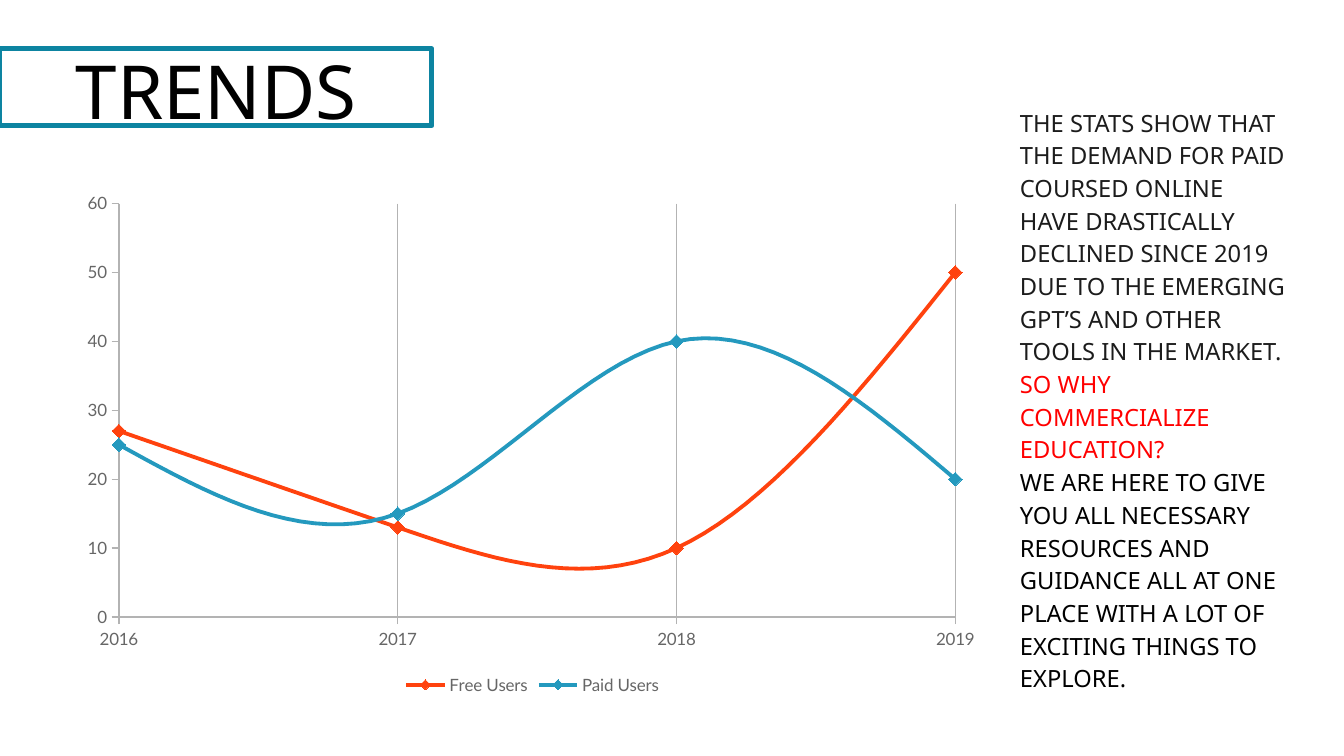
import pptx
import pptx.chart.data
import pptx.dml.color
import pptx.enum.chart
import pptx.enum.shapes
import pptx.enum.text
import pptx.oxml.ns
import pptx.util
from lxml import etree
from pptx.util import Cm, Pt

HUES = {
    "teal": "0D84A1", "white": "FFFFFF", "black": "000000", "ink": "1C1C1C",
    "red": "FF0000", "gray": "666666", "rule": "B3B3B3",
    "free": "FF420E", "paid": "2499BE",
}
FACE = "Noto Sans"
YEARS = ["2016", "2017", "2018", "2019"]
USERS = [
    ("Free Users", [27, 13, 10, 50], "free"),
    ("Paid Users", [25, 15, 40, 20], "paid"),
]
STORY = [
    ("THE STATS SHOW THAT THE DEMAND FOR PAID COURSED ONLINE HAVE DRASTICALLY "
     "DECLINED SINCE 2019 DUE TO THE EMERGING GPT’S AND OTHER TOOLS IN THE MARKET.", "ink"),
    ("SO WHY COMMERCIALIZE EDUCATION?", "red"),
    ("WE ARE HERE TO GIVE YOU ALL NECESSARY RESOURCES AND GUIDANCE ALL AT ONE "
     "PLACE WITH A LOT OF EXCITING THINGS TO EXPLORE.", "black"),
]


def hue(name):
    return pptx.dml.color.RGBColor.from_string(HUES[name])


def style(font, face, size, color):
    font.name = face
    font.size = Pt(size)
    font.color.rgb = hue(color)


def inset(frame, side, top):
    frame.word_wrap = True
    frame.margin_left = frame.margin_right = Cm(side)
    frame.margin_top = frame.margin_bottom = Cm(top)
    frame.vertical_anchor = pptx.enum.text.MSO_ANCHOR.MIDDLE


def add_head(slide, left, top, width, height):
    box = slide.shapes.add_shape(
        pptx.enum.shapes.MSO_SHAPE.RECTANGLE, Cm(left), Cm(top), Cm(width), Cm(height))
    box.shadow.inherit = False
    box.fill.solid()
    box.fill.fore_color.rgb = hue("white")
    box.line.color.rgb = hue("teal")
    box.line.width = Pt(3)

    title = slide.shapes.title
    title.left, title.top = Cm(left + 1.4), Cm(top - 0.46)
    title.width, title.height = Cm(6.22), Cm(height + 1.02)
    slide.shapes.element.append(title.element)
    inset(title.text_frame, 0, 0)
    title.text_frame.text = "TRENDS"
    line = title.text_frame.paragraphs[0]
    line.alignment = pptx.enum.text.PP_ALIGN.CENTER
    style(line.font, FACE, 44, "black")


def set_plot(chart, left, top, width, height):
    tag = pptx.oxml.ns.qn
    area = chart.element.find(".//" + tag("c:plotArea"))
    for old in area.findall(tag("c:layout")):
        area.remove(old)
    layout = etree.Element(tag("c:layout"))
    area.insert(0, layout)
    manual = etree.SubElement(layout, tag("c:manualLayout"))
    parts = [("layoutTarget", "inner"), ("xMode", "edge"), ("yMode", "edge"),
             ("x", left), ("y", top), ("w", width), ("h", height)]
    for name, value in parts:
        etree.SubElement(manual, tag("c:" + name)).set("val", str(value))

    scale = area.find(tag("c:valAx"))
    for old in scale.findall(tag("c:crossBetween")):
        scale.remove(old)
    cross = etree.Element(tag("c:crossBetween"))
    cross.set("val", "midCat")
    scale.find(tag("c:crosses")).addnext(cross)


def set_axis(axis, grid):
    axis.has_major_gridlines = grid
    axis.major_tick_mark = pptx.enum.chart.XL_TICK_MARK.OUTSIDE
    axis.minor_tick_mark = pptx.enum.chart.XL_TICK_MARK.NONE
    style(axis.tick_labels.font, "Lato", 10, "gray")
    lines = [axis.format.line]
    if grid:
        lines.append(axis.major_gridlines.format.line)
    for line in lines:
        line.color.rgb = hue("rule")
        line.width = Pt(0)


def add_graph(slide, left, top, width, height):
    data = pptx.chart.data.CategoryChartData()
    data.categories = YEARS
    for name, values, color in USERS:
        data.add_series(name, values)
    chart = slide.shapes.add_chart(
        pptx.enum.chart.XL_CHART_TYPE.LINE_MARKERS,
        Cm(left), Cm(top), Cm(width), Cm(height), data).chart
    style(chart.font, "Arial", 10, "black")
    chart.has_title = False
    chart.has_legend = True
    chart.legend.position = pptx.enum.chart.XL_LEGEND_POSITION.BOTTOM
    chart.legend.include_in_layout = False
    style(chart.legend.font, "Lato", 10, "gray")
    set_plot(chart, 0.05, 0.04, 0.91, 0.8)
    set_axis(chart.category_axis, True)
    set_axis(chart.value_axis, False)
    chart.value_axis.minimum_scale = 0
    chart.value_axis.maximum_scale = 60
    chart.value_axis.major_unit = 10

    plot = chart.plots[0]
    plot.vary_by_categories = False
    for series, (name, values, color) in zip(plot.series, USERS):
        series.smooth = True
        series.format.line.color.rgb = hue(color)
        series.format.line.width = Pt(2.27)
        mark = series.marker
        mark.style = pptx.enum.chart.XL_MARKER_STYLE.DIAMOND
        mark.size = 8
        mark.format.fill.solid()
        mark.format.fill.fore_color.rgb = hue(color)
        mark.format.line.color.rgb = hue(color)


def add_story(slide, left, top, width, height):
    box = slide.shapes.add_textbox(Cm(left), Cm(top), Cm(width), Cm(height))
    frame = box.text_frame
    inset(frame, 0.3, 0.18)
    for i, (text, color) in enumerate(STORY):
        line = frame.add_paragraph() if i else frame.paragraphs[0]
        line.text = text
        line.line_spacing = 1.15
        style(line.font, FACE, 14, color)


def main():
    deck = pptx.Presentation()
    deck.slide_width, deck.slide_height = Cm(28), Cm(15.75)
    slide = deck.slides.add_slide(deck.slide_layouts[5])
    add_story(slide, 20.95, 2, 6.18, 12.6)
    add_graph(slide, 1.52, 3.81, 19.15, 10.77)
    add_head(slide, 0, 1.02, 9, 1.6)
    deck.save("out.pptx")


if __name__ == "__main__":
    main()
